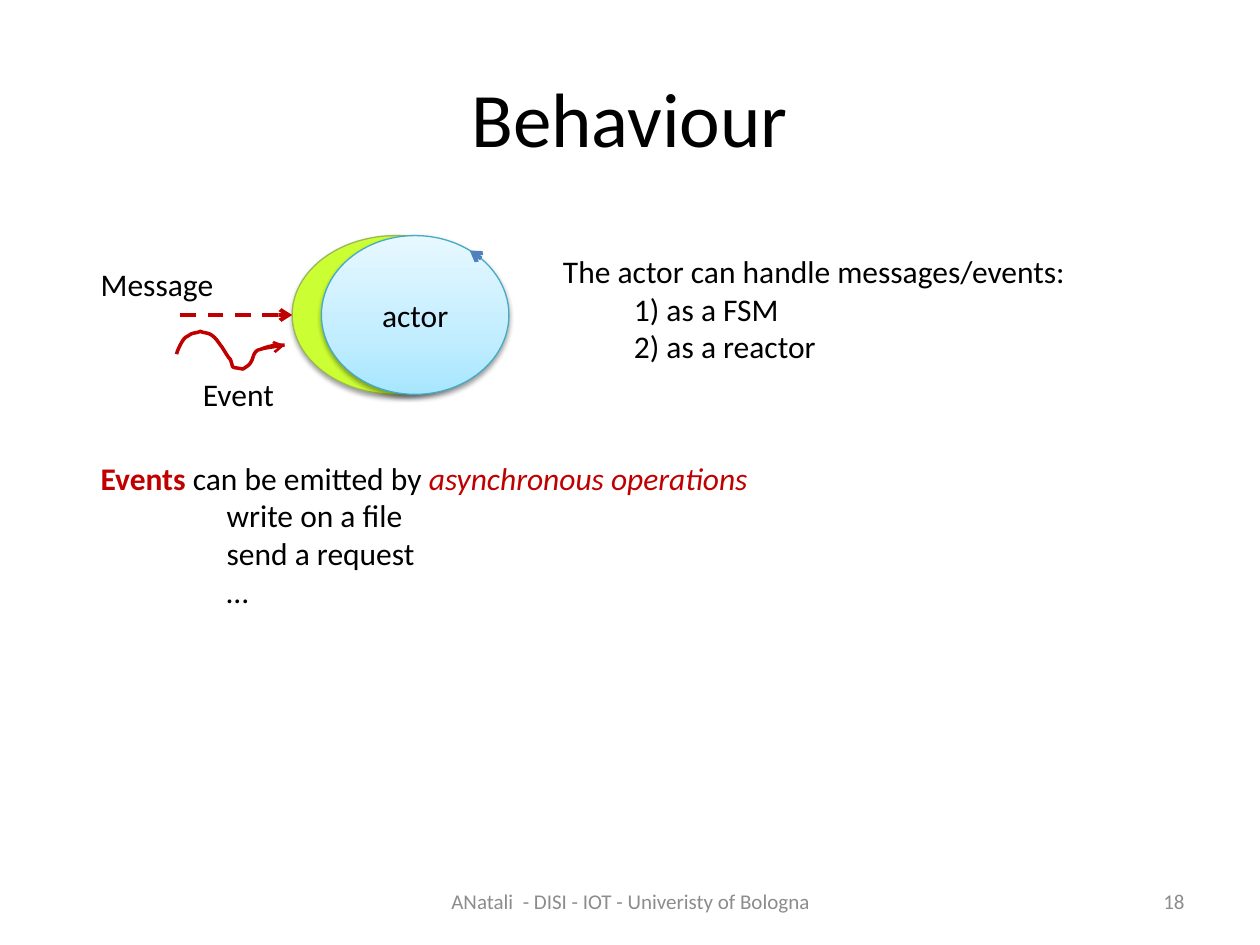
from lxml import etree
from pptx import Presentation
from pptx.dml.color import RGBColor
from pptx.enum import dml, shapes, text
from pptx.oxml import parse_xml
from pptx.oxml.ns import nsdecls, qn
from pptx.util import Cm, Pt
from copy import deepcopy

BLACK = RGBColor(0x00, 0x00, 0x00)
GREY = RGBColor(0x8C, 0x8C, 0x8C)
RED = RGBColor(0xC0, 0x00, 0x00)
BLUE = RGBColor(0x4F, 0x81, 0xBD)
LIME = RGBColor(0xCC, 0xFF, 0x33)
GREEN = RGBColor(0x98, 0xB9, 0x55)
TEAL = RGBColor(0x46, 0xAA, 0xC5)
SKY = [(0, RGBColor(0xA7, 0xE6, 0xFF)), (0.35, RGBColor(0xC1, 0xED, 0xFF)),
       (1, RGBColor(0xE7, 0xF8, 0xFF))]
LEFT, CENTER, RIGHT = text.PP_ALIGN.LEFT, text.PP_ALIGN.CENTER, text.PP_ALIGN.RIGHT
TOP, MIDDLE = text.MSO_ANCHOR.TOP, text.MSO_ANCHOR.MIDDLE

prs = Presentation()
prs.slide_width, prs.slide_height = Cm(25.4), Cm(19.05)
s = prs.slides.add_slide(prs.slide_layouts[6])


def add_text(x, y, w, h, lines, size=18, color=BLACK, align=LEFT, anchor=TOP, indent=0):
    """Add a text box; every line after the first is indented."""
    tf = s.shapes.add_textbox(Cm(x), Cm(y), Cm(w), Cm(h)).text_frame
    tf.word_wrap = False
    tf.vertical_anchor = anchor
    for i, line in enumerate(lines):
        p = tf.paragraphs[0] if i == 0 else tf.add_paragraph()
        p.text = line
        p.alignment = align
        p.font.name, p.font.size, p.font.color.rgb = "Calibri", Pt(size), color
        if i:
            p._p.get_or_add_pPr().set("marL", str(Cm(indent)))
    return tf


def add_arrow(parent, x1, y1, x2, y2, color, width):
    line = parent.shapes.add_connector(shapes.MSO_CONNECTOR.STRAIGHT,
                                       Cm(x1), Cm(y1), Cm(x2), Cm(y2))
    line.line.color.rgb, line.line.width = color, Pt(width)
    etree.SubElement(line.line._get_or_add_ln(), qn("a:tailEnd"), type="arrow")
    etree.SubElement(line._element.spPr, qn("a:effectLst"))
    return line


# Title and footer
add_text(1.27, 0.76, 22.86, 3.18, ["Behaviour"], 44, align=CENTER, anchor=MIDDLE)
add_text(8.69, 17.65, 8.05, 1.02, ["ANatali  - DISI - IOT - Univeristy of Bologna"],
         12, GREY, CENTER, MIDDLE)
add_text(18.21, 17.65, 5.92, 1.02, ["18"], 12, GREY, RIGHT, MIDDLE)

# Actor
actor = s.shapes.add_group_shape()
for x, w, outline in [(5.89, 4.19, GREEN), (6.48, 3.78, TEAL)]:
    sp = actor.shapes.add_shape(shapes.MSO_SHAPE.OVAL, Cm(x), Cm(4.75), Cm(w), Cm(3.2))
    sp.fill.solid()
    sp.fill.fore_color.rgb = LIME
    sp.line.color.rgb, sp.line.width = outline, Pt(0.75)
    sp.shadow.inherit = False
    sp._element.spPr.find(qn("a:effectLst")).append(parse_xml(
        f'<a:outerShdw {nsdecls("a")} blurRad="{Pt(3.1)}" dist="{Pt(1.6)}" dir="5400000" '
        'rotWithShape="0"><a:srgbClr val="000000"><a:alpha val="38000"/></a:srgbClr>'
        '</a:outerShdw>'))

# The front oval carries the gradient and the label
sp.fill.gradient()
sp.fill.gradient_angle = 90
stops = sp._element.spPr.find(qn("a:gradFill")).find(qn("a:gsLst"))
stops.insert(1, deepcopy(stops[0]))
for stop, (position, color) in zip(sp.fill.gradient_stops, SKY):
    stop.position, stop.color.rgb = position, color
sp.text_frame.vertical_anchor = MIDDLE
p = sp.text_frame.paragraphs[0]
p.text, p.alignment = "actor", CENTER
p.font.name, p.font.size, p.font.color.rgb = "Calibri", Pt(18), BLACK
add_arrow(actor, 9.7, 5.21, 9.47, 5.05, BLUE, 2.25)

# Message
message = add_arrow(s, 3.63, 6.35, 5.89, 6.35, RED, 2.25)
message.line.dash_style = dml.MSO_LINE.DASH
add_text(1.78, 5.21, 2.79, 1.02, ["Message"])

# Event wave: cubic curves (two controls and an end point each), sampled as short segments
start = (3.56, 7.14)
curves = [
    [(3.58, 7.06), (3.66, 6.88), (3.73, 6.81)],
    [(3.78, 6.78), (3.81, 6.76), (3.86, 6.73)],
    [(3.91, 6.71), (3.99, 6.71), (4.04, 6.68)],
    [(4.09, 6.71), (4.17, 6.71), (4.22, 6.73)],
    [(4.34, 6.78), (4.42, 6.93), (4.47, 6.99)],
    [(4.51, 7.05), (4.55, 7.12), (4.6, 7.19)],
    [(4.6, 7.21), (4.65, 7.24), (4.65, 7.26)],
    [(4.72, 7.44), (4.62, 7.39), (4.9, 7.44)],
    [(5, 7.37), (5.03, 7.37), (5.08, 7.26)],
    [(5.11, 7.21), (5.11, 7.06), (5.26, 7.04)],
    [(5.46, 6.96), (5.56, 6.96), (5.74, 6.96)],
]
points, STEPS = [], 6
a = start
for b, c, d in curves:
    for t in [n / STEPS for n in range(1, STEPS + 1)]:
        v = 1 - t
        points.append(tuple(
            Cm(v**3 * a[k] + 3 * v * v * t * b[k] + 3 * v * t * t * c[k] + t**3 * d[k])
            for k in (0, 1)))
    a = d
event = s.shapes.add_group_shape()
outline = event.shapes.build_freeform(Cm(start[0]), Cm(start[1]))
outline.add_line_segments(points, close=False)
wave = outline.convert_to_shape()
wave.fill.background()
wave.line.color.rgb, wave.line.width = RED, Pt(2)
wave.shadow.inherit = False
add_arrow(event, 5.26, 7.04, 5.74, 6.96, RED, 1.5)
add_text(3.84, 7.44, 1.96, 1.02, ["Event"])

# Explanations
add_text(11.1, 4.95, 10.74, 2.57,
         ["The actor can handle messages/events:", "1) as a FSM", "2) as a reactor"],
         indent=1.43)
tf = add_text(1.78, 9.12, 13.74, 3.33, ["", "write on a file", "send a request", "…"],
              indent=2.54)
for words, color, bold, italic in [("Events ", RED, True, False),
                                   ("can be emitted by ", BLACK, False, False),
                                   ("asynchronous operations", RED, False, True)]:
    r = tf.paragraphs[0].add_run()
    r.text = words
    r.font.color.rgb, r.font.bold, r.font.italic = color, bold, italic

prs.save("out.pptx")
